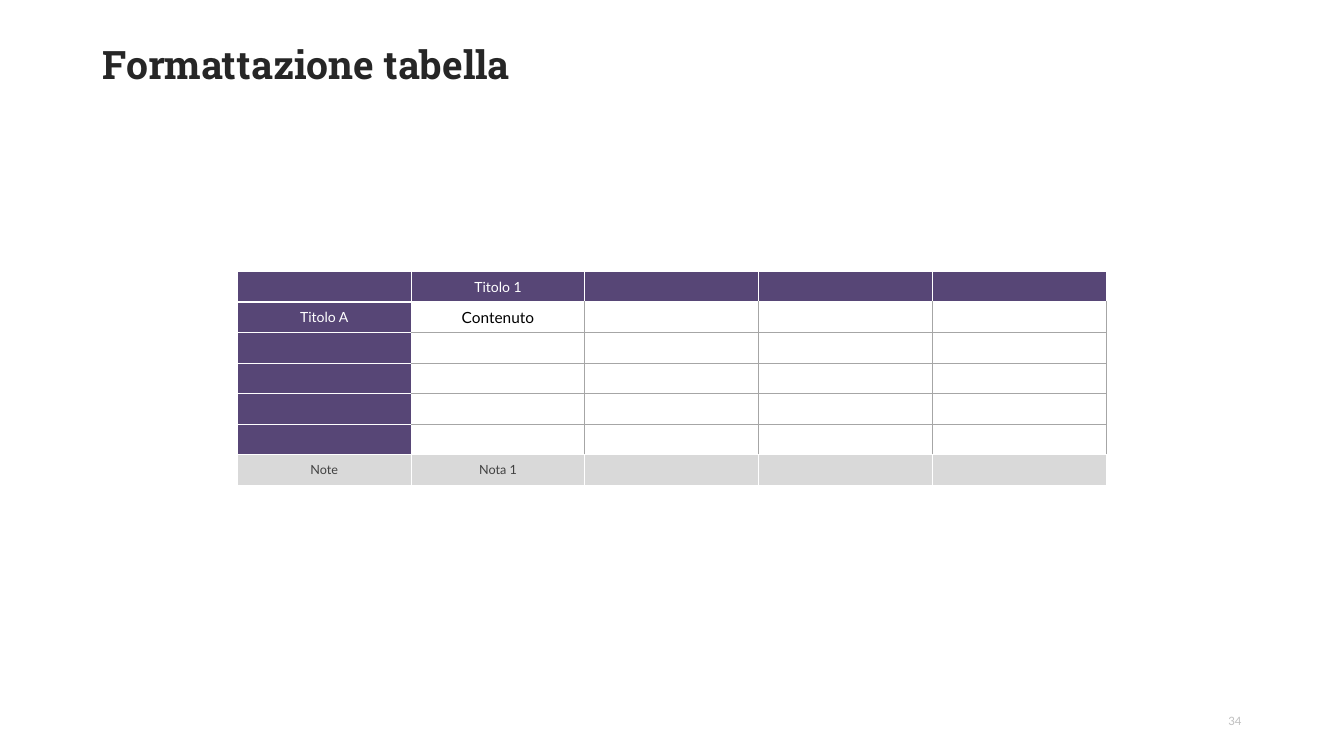
from lxml.etree import SubElement
from pptx import Presentation
from pptx.dml.color import RGBColor
from pptx.enum.text import MSO_ANCHOR, PP_ALIGN
from pptx.oxml.ns import qn
from pptx.util import Cm, Pt

COLORS = {
    "purple": "574676",
    "white": "FFFFFF",
    "grid": "A6A6A6",
    "note": "D9D9D9",
    "title": "262626",
    "black": "000000",
    "note_text": "404040",
    "page_number": "BFBFBF",
}
ROWS, COLUMNS = 7, 5
LABELS = {
    (0, 1): "Titolo 1",
    (1, 0): "Titolo A",
    (1, 1): "Contenuto",
    (6, 0): "Note",
    (6, 1): "Nota 1",
}
CELL_STYLES = {
    "header": {"fill": "purple", "color": "white", "size": 10},
    "body": {"fill": "white", "color": "black", "size": 11},
    "note": {"fill": "note", "color": "note_text", "size": 9},
}
CELL_FORMAT = {
    "margin_left": Cm(0.18),
    "margin_right": Cm(0.18),
    "margin_top": Cm(0.1),
    "margin_bottom": Cm(0.1),
    "vertical_anchor": MSO_ANCHOR.MIDDLE,
}


def set_attributes(target, values):
    for name, value in values.items():
        setattr(target, name, value)


def add_span(para, text, color, **font_values):
    span = para.add_run()
    span.text = text
    set_attributes(span.font, font_values)
    span.font.color.rgb = RGBColor.from_string(COLORS[color])


def add_text(page, place, text, color, frame_format, para_format, **font_values):
    box = page.shapes.add_textbox(*(Cm(length) for length in place))
    set_attributes(box.text_frame, {"word_wrap": True, **frame_format})
    para = box.text_frame.paragraphs[0]
    set_attributes(para, para_format)
    add_span(para, text, color, **font_values)


def cell_kind(row, column):
    if row == ROWS - 1:
        return "note"
    return "header" if row == 0 or column == 0 else "body"


def add_border(cell, side, color):
    properties = cell._tc.get_or_add_tcPr()
    line = SubElement(properties, qn(f"a:ln{side}"), w=str(Pt(1)))
    fill = SubElement(line, qn("a:solidFill"))
    SubElement(fill, qn("a:srgbClr"), val=COLORS[color])


def format_cell(cell, row, column):
    kind = cell_kind(row, column)
    style = CELL_STYLES[kind]
    set_attributes(cell, CELL_FORMAT)
    white_edges = {
        "L": column == 1,
        "R": False,
        "T": row == 1,
        "B": row == ROWS - 2,
    }
    for side, touches_label in white_edges.items():
        is_white = kind != "body" or touches_label
        add_border(cell, side, "white" if is_white else "grid")
    cell.fill.solid()
    cell.fill.fore_color.rgb = RGBColor.from_string(COLORS[style["fill"]])
    para = cell.text_frame.paragraphs[0]
    para.alignment = PP_ALIGN.CENTER
    text = LABELS.get((row, column))
    if text:
        add_span(para, text, style["color"], name="Lato", size=Pt(style["size"]))
    else:
        SubElement(para._p, qn("a:endParaRPr"), sz=str(style["size"] * 100))


def add_format_table(page):
    column_width, row_height = Cm(4.38), Cm(0.77)
    frame = page.shapes.add_table(
        ROWS, COLUMNS, Cm(5.98), Cm(6.84),
        column_width * COLUMNS, row_height * ROWS,
    )
    table = frame.table
    set_attributes(table, {"first_row": False, "horz_banding": False})
    for column in table.columns:
        column.width = column_width
    for row in table.rows:
        row.height = row_height
    for row in range(ROWS):
        for column in range(COLUMNS):
            format_cell(table.cell(row, column), row, column)


def main():
    deck = Presentation()
    set_attributes(deck, {"slide_width": Cm(33.87), "slide_height": Cm(19.05)})
    page = deck.slides.add_slide(deck.slide_layouts[6])
    add_text(
        page, (23.92, 17.66, 7.62, 1.01), "34", "page_number",
        {"vertical_anchor": MSO_ANCHOR.MIDDLE},
        {"alignment": PP_ALIGN.RIGHT},
        name="Lato", size=Pt(8.2),
    )
    add_text(
        page, (2.33, 1.02, 29.21, 2.74), "Formattazione tabella", "title",
        {"vertical_anchor": MSO_ANCHOR.TOP},
        {"line_spacing": 0.9},
        name="Roboto Slab", size=Pt(28), bold=True,
    )
    add_format_table(page)
    deck.save("out.pptx")


if __name__ == "__main__":
    main()
